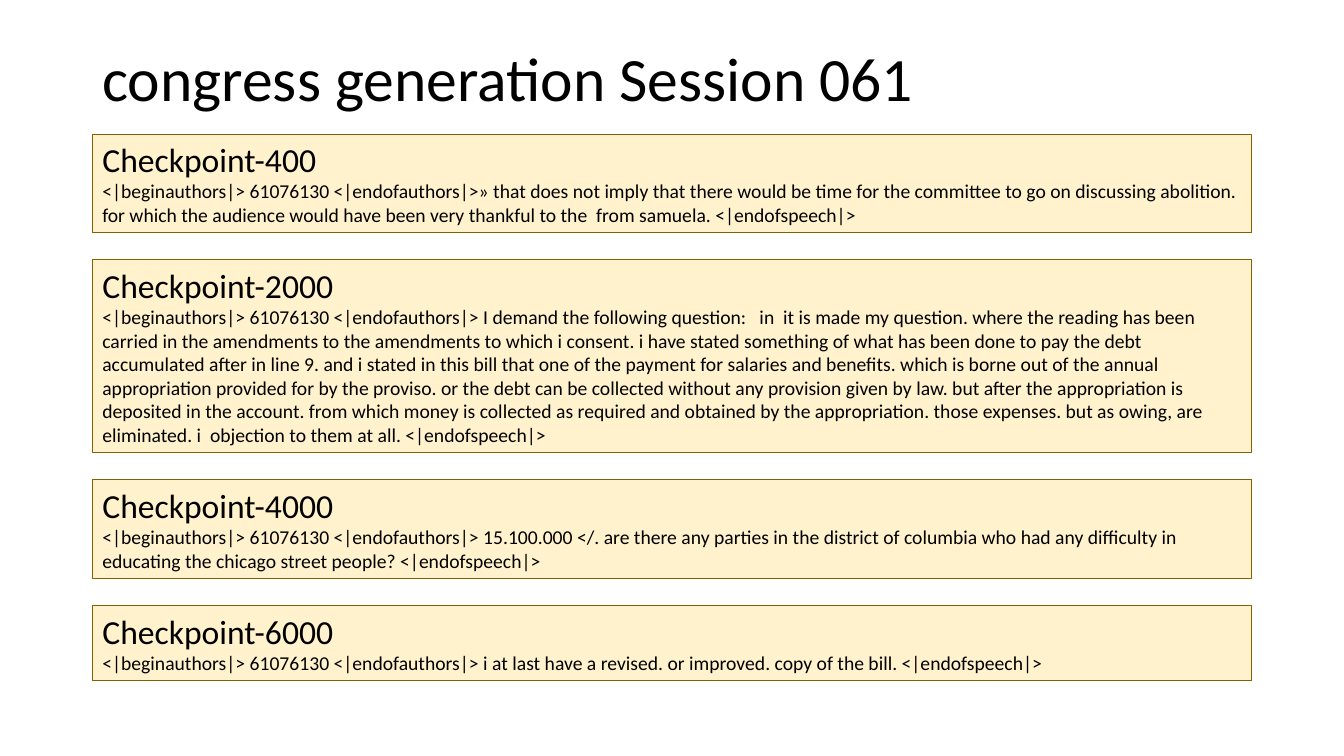
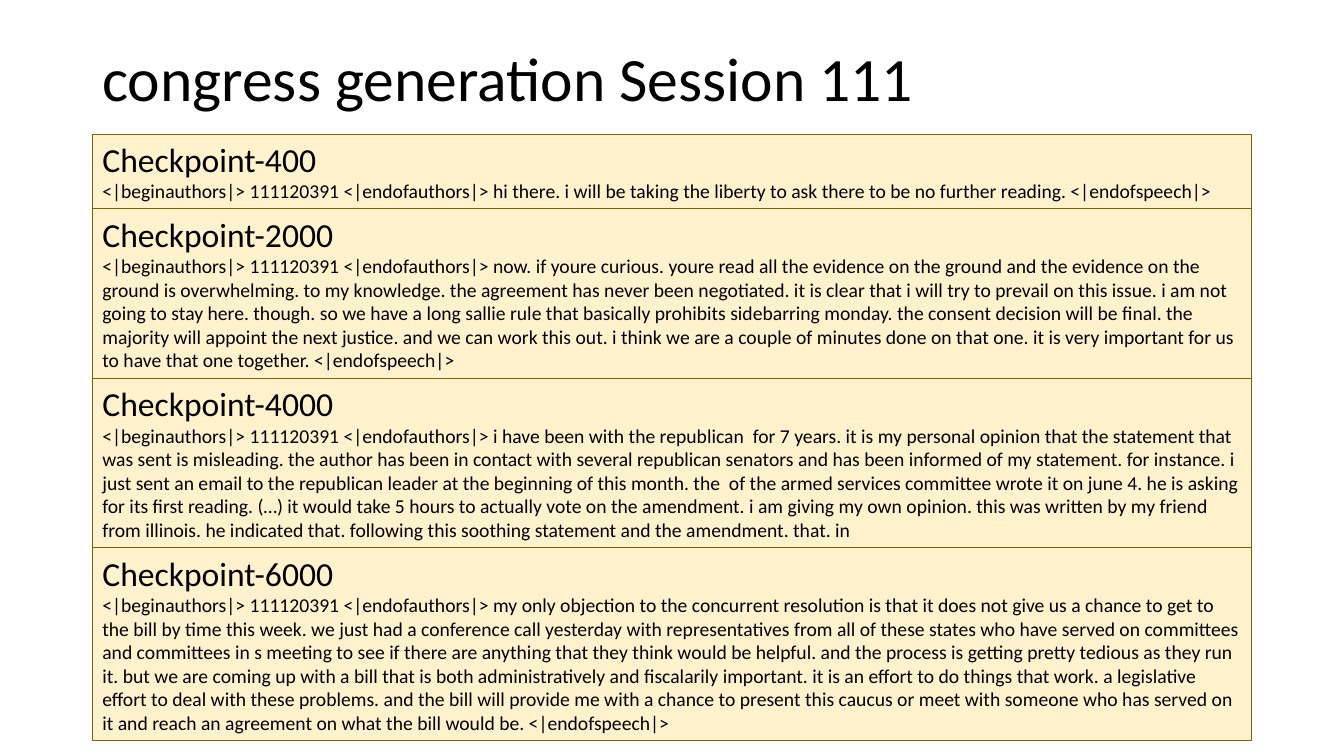
import pptx
import pptx.util
import pptx.dml.color
import pptx.enum.shapes
import pptx.enum.text

COLORS = {"text": "000000", "box": "FFF2CC", "border": "806000"}
FONT = "Calibri"

prs = pptx.Presentation()
prs.slide_width = pptx.util.Inches(13.33)
prs.slide_height = pptx.util.Inches(7.5)
COL = prs.slide_width / 16
ROW = prs.slide_height / 100

LEFT, WIDTH = int(1.1 * COL), int(13.8 * COL)
TITLE_TOP, TITLE_HEIGHT = int(5.33 * ROW), int(10.8 * ROW)
FIRST_BOX_TOP = 17.73 * ROW
HEADING_HEIGHT, LINE_HEIGHT = 6.76 * ROW, 3.13 * ROW


def rgb(name):
    return pptx.dml.color.RGBColor.from_string(COLORS[name])


def add_text(p, text, size):
    p.alignment = pptx.enum.text.PP_ALIGN.LEFT
    r = p.add_run()
    r.text = text
    r.font.name = FONT
    r.font.size = pptx.util.Pt(size)
    r.font.color.rgb = rgb("text")


sessions = [
    {
        "session": "061",
        "author": "61076130",
        "gap": 3.6,
        "speeches": [
            ("400", 2, "» that does not imply that there would be time for the committee to go on "
             "discussing abolition. for which the audience would have been very thankful to the  "
             "from samuela. <|endofspeech|>"),
            ("2000", 6, " I demand the following question:   in  it is made my question. where the "
             "reading has been carried in the amendments to the amendments to which i consent. "
             "i have stated something of what has been done to pay the debt accumulated after in "
             "line 9. and i stated in this bill that one of the payment for salaries and benefits. "
             "which is borne out of the annual appropriation provided for by the proviso. or the "
             "debt can be collected without any provision given by law. but after the appropriation "
             "is deposited in the account. from which money is collected as required and obtained "
             "by the appropriation. those expenses. but as owing, are eliminated. i  objection to "
             "them at all. <|endofspeech|>"),
            ("4000", 2, " 15.100.000 </. are there any parties in the district of columbia who had "
             "any difficulty in educating the chicago street people? <|endofspeech|>"),
            ("6000", 1, " i at last have a revised. or improved. copy of the bill. <|endofspeech|>"),
        ],
    },
    {
        "session": "111",
        "author": "111120391",
        "gap": 0,
        "speeches": [
            ("400", 1, " hi there. i will be taking the liberty to ask there to be no further "
             "reading. <|endofspeech|>"),
            ("2000", 5, " now. if youre curious. youre read all the evidence on the ground and the "
             "evidence on the ground is overwhelming. to my knowledge. the agreement has never been "
             "negotiated. it is clear that i will try to prevail on this issue. i am not going to "
             "stay here. though. so we have a long sallie rule that basically prohibits sidebarring "
             "monday. the consent decision will be final. the majority will appoint the next "
             "justice. and we can work this out. i think we are a couple of minutes done on that "
             "one. it is very important for us to have that one together. <|endofspeech|>"),
            ("4000", 5, " i have been with the republican  for 7 years. it is my personal opinion "
             "that the statement that was sent is misleading. the author has been in contact with "
             "several republican senators and has been informed of my statement. for instance. i "
             "just sent an email to the republican leader at the beginning of this month. the  of "
             "the armed services committee wrote it on june 4. he is asking for its first reading. "
             "(…) it would take 5 hours to actually vote on the amendment. i am giving my own "
             "opinion. this was written by my friend from illinois. he indicated that. following "
             "this soothing statement and the amendment. that. in"),
            ("6000", 6, " my only objection to the concurrent resolution is that it does not give us "
             "a chance to get to the bill by time this week. we just had a conference call yesterday "
             "with representatives from all of these states who have served on committees and "
             "committees in s meeting to see if there are anything that they think would be helpful. "
             "and the process is getting pretty tedious as they run it. but we are coming up with a "
             "bill that is both administratively and fiscalarily important. it is an effort to do "
             "things that work. a legislative effort to deal with these problems. and the bill will "
             "provide me with a chance to present this caucus or meet with someone who has served on "
             "it and reach an agreement on what the bill would be. <|endofspeech|>"),
        ],
    },
]

for session in sessions:
    s = prs.slides.add_slide(prs.slide_layouts[6])

    tf = s.shapes.add_textbox(LEFT, TITLE_TOP, WIDTH, TITLE_HEIGHT).text_frame
    tf.word_wrap = True
    tf.vertical_anchor = pptx.enum.text.MSO_ANCHOR.MIDDLE
    tf.paragraphs[0].line_spacing = 0.9
    add_text(tf.paragraphs[0], f"congress generation Session {session['session']}", 44)

    top = FIRST_BOX_TOP
    for checkpoint, lines, speech in session["speeches"]:
        height = HEADING_HEIGHT + lines * LINE_HEIGHT
        sp = s.shapes.add_shape(pptx.enum.shapes.MSO_SHAPE.RECTANGLE,
                                LEFT, int(top), WIDTH, int(height))
        sp.shadow.inherit = False
        sp.fill.solid()
        sp.fill.fore_color.rgb = rgb("box")
        sp.line.color.rgb = rgb("border")
        sp.line.width = pptx.util.Pt(0.75)

        tf = sp.text_frame
        tf.word_wrap = True
        tf.auto_size = pptx.enum.text.MSO_AUTO_SIZE.SHAPE_TO_FIT_TEXT
        tf.vertical_anchor = pptx.enum.text.MSO_ANCHOR.TOP
        add_text(tf.paragraphs[0], f"Checkpoint-{checkpoint}", 24)
        add_text(tf.add_paragraph(),
                 f"<|beginauthors|> {session['author']} <|endofauthors|>{speech}", 14)
        top += height + session["gap"] * ROW

prs.save("out.pptx")
